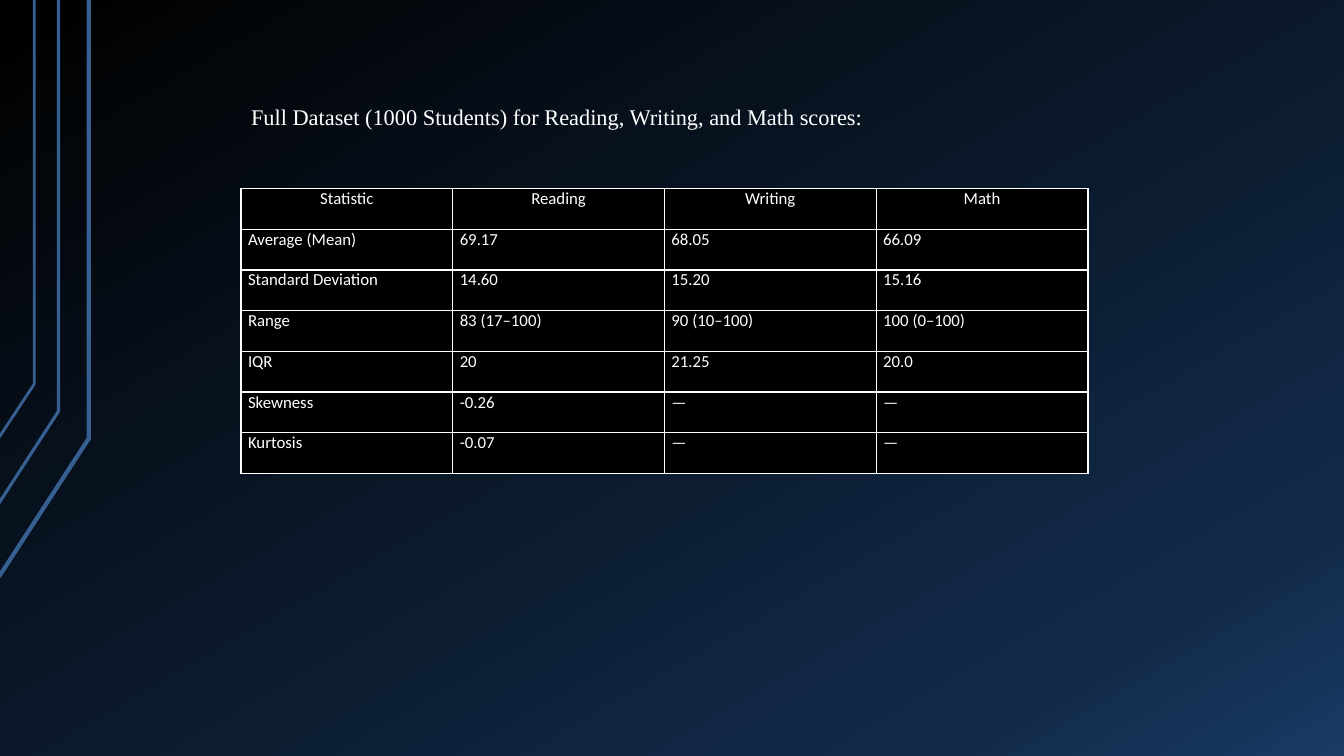
from lxml import etree
from pptx import Presentation
from pptx.dml.color import RGBColor as Rgb
from pptx.enum.text import MSO_ANCHOR as Anchor, PP_ALIGN as Align
from pptx.oxml.ns import qn
from pptx.util import Inches, Pt

HUES = {"black": "000000", "navy": "122B4A", "blue": "193A64",
        "line": "376092", "white": "FFFFFF"}

STATS = [
    ["Statistic", "Reading", "Writing", "Math"],
    ["Average (Mean)", "69.17", "68.05", "66.09"],
    ["Standard Deviation", "14.60", "15.20", "15.16"],
    ["Range", "83 (17–100)", "90 (10–100)", "100 (0–100)"],
    ["IQR", "20", "21.25", "20.0"],
    ["Skewness", "-0.26", "—", "—"],
    ["Kurtosis", "-0.07", "—", "—"],
]

# Bent lines: x of the bend, y of the bend, y at the left edge, width
BENDS = [(0.88, 4.35, 5.72, 3), (0.58, 4.08, 4.99, 2.25), (0.34, 3.81, 4.34, 2)]


def hue(name):
    return Rgb.from_string(HUES[name])


def add_hue(node, name):
    etree.SubElement(node, qn("a:srgbClr"), val=HUES[name])


def style(para, face, size):
    for run in para.runs:
        run.font.name = face
        run.font.size = Pt(size)
        run.font.bold = False
        run.font.color.rgb = hue("white")


# Background gradient
def paint_back(slide):
    fill = slide.background.fill
    fill.gradient()
    fill.gradient_angle = 300
    stops = slide.element.find(".//" + qn("a:gsLst"))
    for stop in list(stops):
        stops.remove(stop)
    for spot, name in [(0, "black"), (85, "navy"), (100, "blue")]:
        add_hue(etree.SubElement(stops, qn("a:gs"), pos=str(spot * 1000)), name)


# Bent lines at the left edge
def draw_bends(slide, left, top):
    for x, bend, end, width in BENDS:
        pen = slide.shapes.build_freeform(Inches(left - 0.01), Inches(top + end))
        pen.add_line_segments([(Inches(left + x), Inches(top + bend)),
                               (Inches(left + x), Inches(top))], close=False)
        shape = pen.convert_to_shape()
        shape.shadow.inherit = False
        shape.fill.background()
        shape.line.color.rgb = hue("line")
        shape.line.width = Pt(width)


# Heading
def add_head(slide, left, top, width, height):
    title = slide.shapes.title
    title.left, title.top = Inches(left), Inches(top)
    title.width, title.height = Inches(width), Inches(height)
    frame = title.text_frame
    frame.text = "Full Dataset (1000 Students) for Reading, Writing, and Math scores:"
    frame.word_wrap = True
    frame.vertical_anchor = Anchor.TOP
    para = frame.paragraphs[0]
    para.alignment = Align.LEFT
    para.line_spacing = 1.0
    style(para, "Times New Roman", 16)


# Statistics table
def add_edges(cell):
    props = cell._tc.get_or_add_tcPr()
    for i, side in enumerate(["lnL", "lnR", "lnT", "lnB"]):
        edge = etree.Element(qn("a:" + side), w=str(Pt(1)))
        add_hue(etree.SubElement(edge, qn("a:solidFill")), "white")
        props.insert(i, edge)


def add_stats(slide, left, top, width, height):
    rows, cols = len(STATS), len(STATS[0])
    table = slide.shapes.add_table(rows, cols, Inches(left), Inches(top),
                                   Inches(width), Inches(height)).table
    table.first_row = table.horz_banding = False
    for r, line in enumerate(STATS):
        for c, text in enumerate(line):
            cell = table.cell(r, c)
            cell.text_frame.text = text
            cell.margin_left = cell.margin_right = Inches(0.07)
            cell.margin_top = cell.margin_bottom = 0
            cell.fill.solid()
            cell.fill.fore_color.rgb = hue("black")
            add_edges(cell)
            para = cell.text_frame.paragraphs[0]
            para.alignment = Align.LEFT if r else Align.CENTER
            style(para, "Calibri", 12)


def main():
    deck = Presentation()
    deck.slide_width, deck.slide_height = Inches(13.33), Inches(7.5)
    slide = deck.slides.add_slide(deck.slide_layouts[5])
    paint_back(slide)
    draw_bends(slide, 0, 0)
    add_stats(slide, 2.39, 1.87, 8.4, 2.83)
    add_head(slide, 2.39, 0.97, 6.93, 0.37)
    deck.save("out.pptx")


if __name__ == "__main__":
    main()
